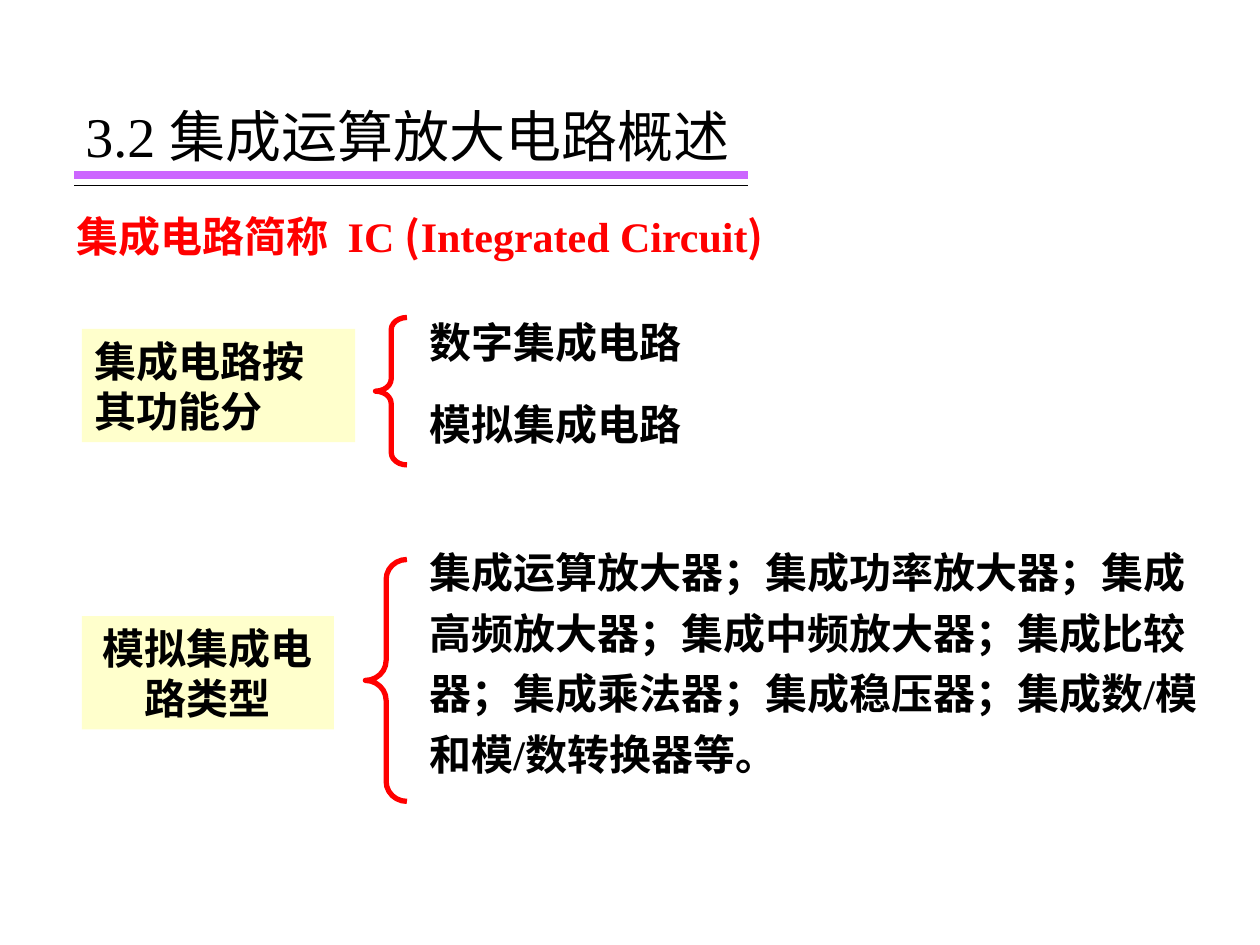
from dataclasses import dataclass

from lxml.etree import SubElement
from pptx import Presentation
from pptx.dml.color import RGBColor
from pptx.enum.shapes import MSO_CONNECTOR, MSO_SHAPE
from pptx.enum.text import MSO_ANCHOR, PP_ALIGN
from pptx.oxml.ns import qn
from pptx.util import Inches, Pt


@dataclass(frozen=True)
class Theme:
    latin: str = "Times New Roman"
    cjk: str = "Noto Sans CJK SC"
    ink: str = "000000"
    accent: str = "FF0000"
    rule: str = "CC66FF"
    label: str = "FFFFCC"
    title_size: int = 32
    body_size: int = 24


THEME = Theme()


def color(value):
    return RGBColor.from_string(value)


def add_run(p, text, size, ink, bold, latin):
    r = p.add_run()
    r.text = text
    r.font.size = Pt(size)
    r.font.bold = bold
    r.font.color.rgb = color(ink)
    r.font.name = latin
    SubElement(r.font._element, qn("a:ea")).set("typeface", THEME.cjk)


def fill_text(sp, runs, size=THEME.body_size, ink=THEME.ink, bold=True,
              align=PP_ALIGN.LEFT, anchor=MSO_ANCHOR.TOP, spacing=1.0):
    tf = sp.text_frame
    tf.word_wrap = True
    tf.vertical_anchor = anchor
    p = tf.paragraphs[0]
    p.alignment = align
    p.line_spacing = spacing
    for text, latin in runs:
        add_run(p, text, size, ink, bold, latin)


def add_text(s, box, *runs, **style):
    sp = s.shapes.add_textbox(*map(Inches, box))
    fill_text(sp, runs, **style)


def add_label(s, box, text, align):
    sp = s.shapes.add_shape(MSO_SHAPE.RECTANGLE, *map(Inches, box))
    sp.shadow.inherit = False
    sp.fill.solid()
    sp.fill.fore_color.rgb = color(THEME.label)
    sp.line.fill.background()
    fill_text(sp, [(text, THEME.latin)], align=align)


def add_brace(s, box, curve):
    sp = s.shapes.add_shape(MSO_SHAPE.LEFT_BRACE, *map(Inches, box))
    sp.shadow.inherit = False
    sp.adjustments[0] = curve
    sp.fill.background()
    sp.line.color.rgb = color(THEME.accent)
    sp.line.width = Pt(3)


def add_rule(s, y, ink, width):
    line = s.shapes.add_connector(
        MSO_CONNECTOR.STRAIGHT, Inches(0.59), Inches(y), Inches(5.94), Inches(y))
    line.line.color.rgb = color(ink)
    line.line.width = Pt(width)
    SubElement(line._element.spPr, qn("a:effectLst"))


def main():
    prs = Presentation()
    prs.slide_width, prs.slide_height = Inches(10), Inches(7.5)
    s = prs.slides.add_slide(prs.slide_layouts[6])

    add_text(s, (0.58, 0.76, 8.75, 0.75), ("3.2 集成运算放大电路概述", THEME.latin),
             size=THEME.title_size, bold=False, anchor=MSO_ANCHOR.MIDDLE, spacing=0.7)
    add_rule(s, 1.39, THEME.rule, 4.5)
    add_rule(s, 1.47, THEME.ink, 0.75)
    add_text(s, (0.51, 1.62, 6.92, 0.5),
             ("集成电路简称  IC ", THEME.latin), ("(", THEME.cjk),
             ("Integrated Circuit", THEME.latin), (")", THEME.cjk), ink=THEME.accent)

    add_label(s, (0.65, 2.61, 2.17, 0.9), "集成电路按其功能分", PP_ALIGN.LEFT)
    add_brace(s, (2.98, 2.52, 0.25, 1.17), 0.39)
    for top, kind in ((2.46, "数字集成电路"), (3.11, "模拟集成电路")):
        add_text(s, (3.31, top, 3.17, 0.5), (kind, THEME.latin))

    add_label(s, (0.65, 4.89, 2, 0.9), "模拟集成电路类型", PP_ALIGN.CENTER)
    add_brace(s, (2.9, 4.44, 0.33, 1.92), 0.48)
    add_text(s, (3.31, 4.21, 6.33, 2.02),
             ("集成运算放大器；集成功率放大器；集成高频放大器；集成中频放大器；"
              "集成比较器；集成乘法器；集成稳压器；集成数/模和模/数转换器等。", THEME.latin),
             spacing=1.2)

    prs.save("out.pptx")


if __name__ == "__main__":
    main()
